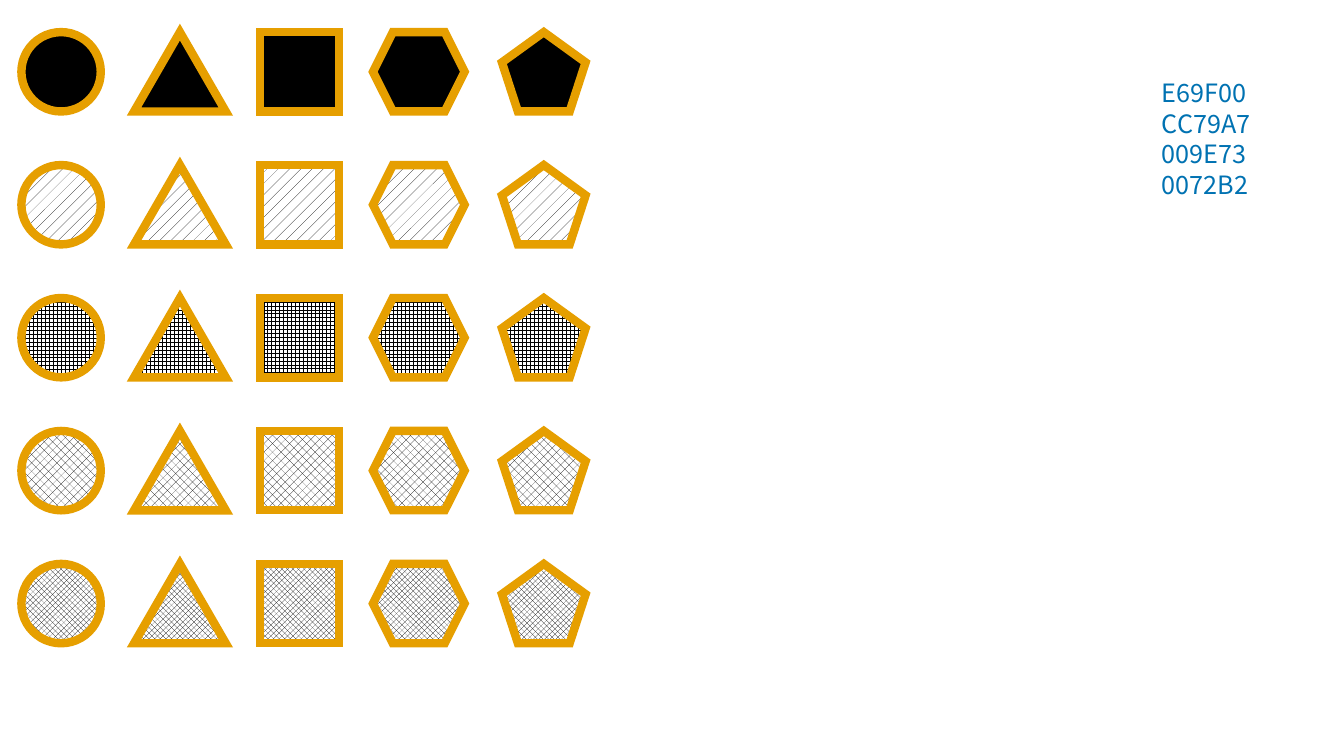
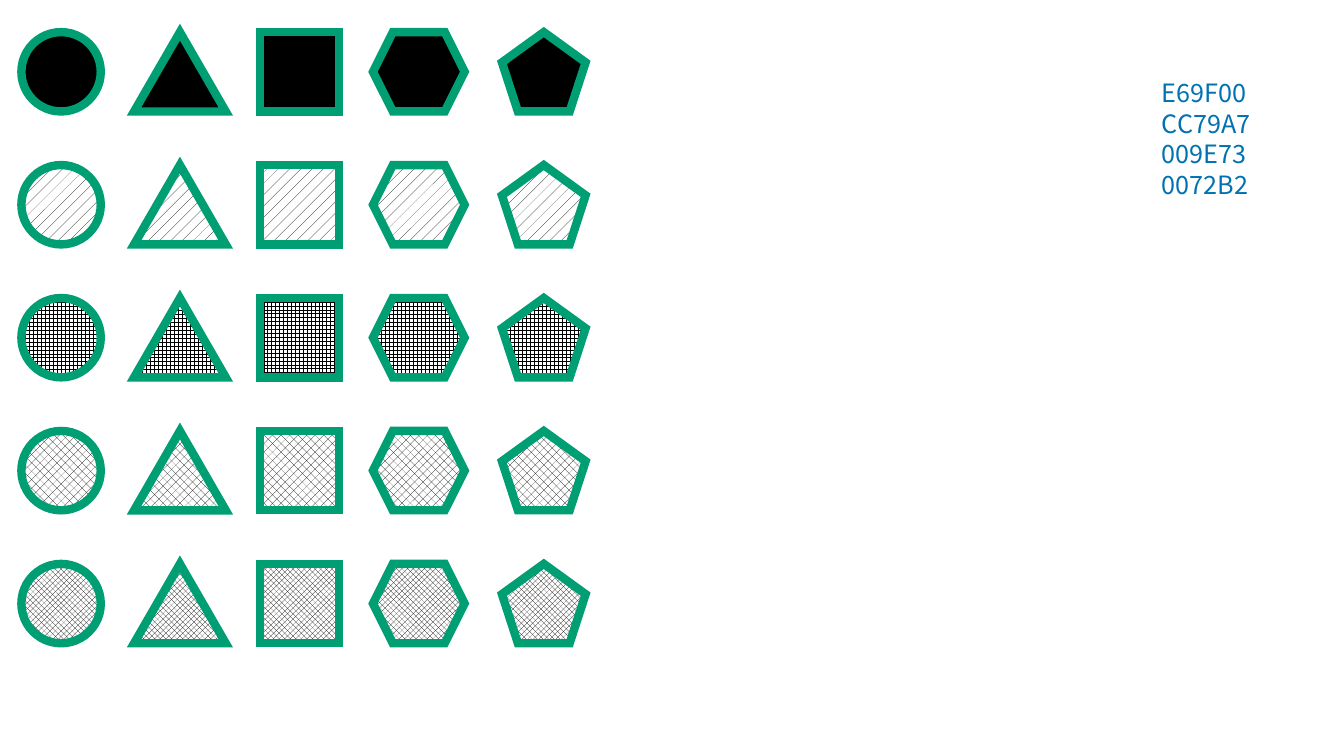
"""Build two slides of patterned shapes, one outline colour per slide."""
from lxml import etree
from pptx import Presentation
from pptx import util as u
from pptx.dml.color import RGBColor
from pptx.enum import dml, shapes, text
from pptx.oxml.ns import qn

FONT = "Noto Sans CJK JP"
BLACK, WHITE, BLUE = "000000", "FFFFFF", "0072B2"
OUTLINES = ["E69F00", "009E73"]
PALETTE = ["E69F00", "CC79A7", "009E73", "0072B2"]

KIND = shapes.MSO_SHAPE
COLUMNS = [
    (KIND.OVAL, 0.54, 2),
    (KIND.ISOSCELES_TRIANGLE, 3.38, 2.31),
    (KIND.RECTANGLE, 6.55, 2),
    (KIND.HEXAGON, 9.4, 2.31),
    (KIND.REGULAR_PENTAGON, 12.65, 2.11),
]
PATTERN = dml.MSO_PATTERN
ROWS = [
    PATTERN.DARK_VERTICAL,
    PATTERN.PERCENT_10,
    PATTERN.LARGE_GRID,
    PATTERN.WEAVE,
    PATTERN.LARGE_CHECKER_BOARD,
]
TOP, ROW_STEP, HEIGHT = 0.81, 3.35, 2


def rgb(value):
    return RGBColor.from_string(value)


def add_marker(s, kind, left, top, width, pattern, outline):
    sp = s.shapes.add_shape(kind, u.Cm(left), u.Cm(top), u.Cm(width), u.Cm(HEIGHT))
    sp.shadow.inherit = False
    sp.fill.patterned()
    sp.fill.pattern = pattern
    sp.fill.fore_color.rgb = rgb(BLACK)
    sp.fill.back_color.rgb = rgb(WHITE)
    sp.line.color.rgb = rgb(outline)
    sp.line.width = u.Pt(6)
    miter = etree.SubElement(sp.line._get_or_add_ln(), qn("a:miter"))
    miter.set("lim", "800000")


def add_marker_grid(s, outline):
    for row, pattern in enumerate(ROWS):
        for kind, left, width in COLUMNS:
            add_marker(s, kind, left, TOP + row * ROW_STEP, width, pattern, outline)


def add_palette(s):
    sp = s.shapes.add_textbox(u.Cm(29.03), u.Cm(1.83), u.Cm(2.87), u.Cm(3.33))
    tf = sp.text_frame
    tf.word_wrap = False
    tf.auto_size = text.MSO_AUTO_SIZE.SHAPE_TO_FIT_TEXT
    tf.text = "\n".join(PALETTE)
    for p in tf.paragraphs:
        p.line_spacing = u.Pt(21.7)
        p.font.name = FONT
        p.font.size = u.Pt(18)
        p.font.color.rgb = rgb(BLUE)


def main():
    prs = Presentation()
    prs.slide_width, prs.slide_height = u.Cm(33.87), u.Cm(19.05)
    for outline in OUTLINES:
        s = prs.slides.add_slide(prs.slide_layouts[6])
        add_marker_grid(s, outline)
        add_palette(s)
    prs.save("out.pptx")


if __name__ == "__main__":
    main()
